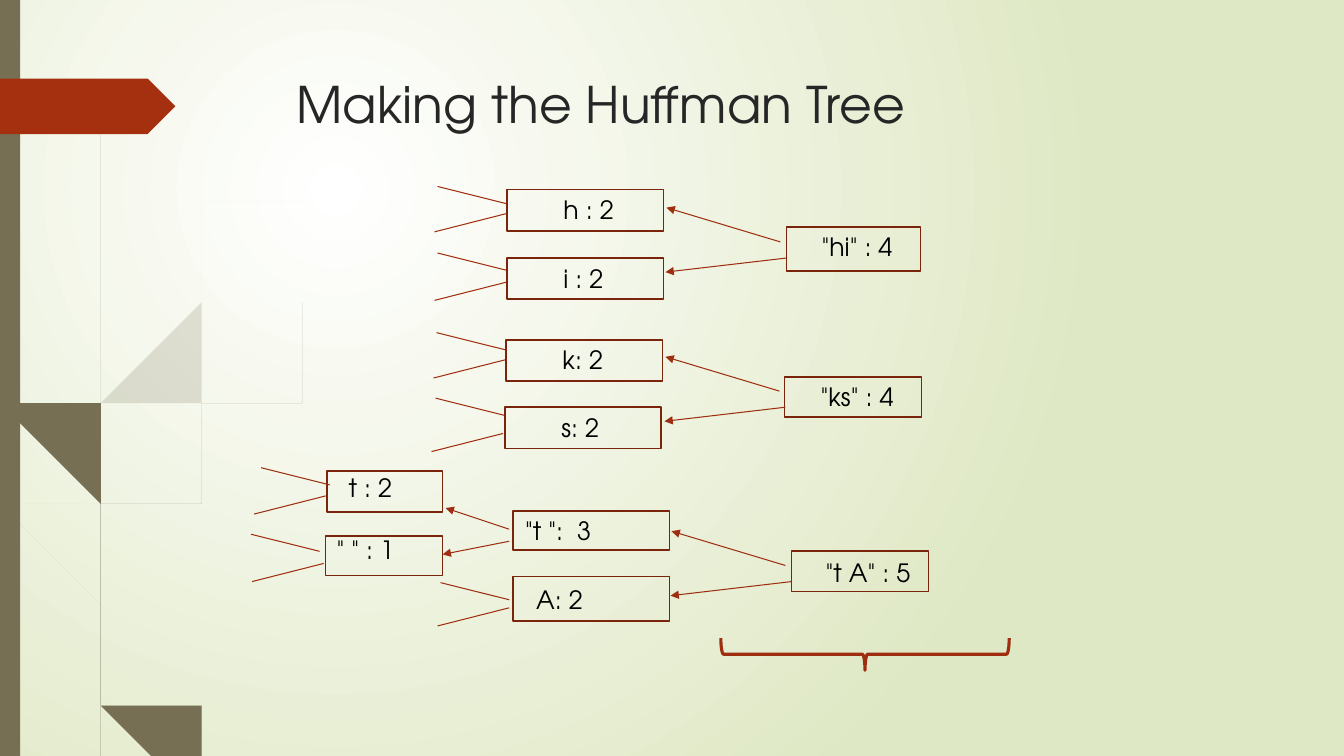
from pptx import Presentation
from pptx.dml.color import RGBColor
from pptx.enum import shapes, text
from pptx.oxml import ns, xmlchemy
from pptx.util import Inches, Pt

FONT = "TeX Gyre Adventor"
WHITE = RGBColor(0xFF, 0xFF, 0xFF)
PALE_GREEN = RGBColor(0xDF, 0xE8, 0xC4)
OLIVE = RGBColor(0x76, 0x6F, 0x54)
RED = RGBColor(0xA5, 0x30, 0x10)
LINK_RED = RGBColor(0x9E, 0x2E, 0x0F)
BOX_RED = RGBColor(0x7A, 0x24, 0x0C)
TITLE_GRAY = RGBColor(0x26, 0x26, 0x26)
BLACK = RGBColor(0, 0, 0)
KIND = shapes.MSO_SHAPE

presentation = Presentation()
presentation.slide_width = Inches(13.33)
presentation.slide_height = Inches(7.5)
slide = presentation.slides.add_slide(presentation.slide_layouts[5])

background = slide.background.fill
background.gradient()
for stop, color, position in zip(background.gradient_stops, (WHITE, PALE_GREEN), (0, 1)):
    stop.color.rgb = color
    stop.position = position
gradient = slide.element.find(".//" + ns.qn("a:gradFill"))
gradient.remove(gradient.find(ns.qn("a:lin")))
circle = xmlchemy.OxmlElement("a:path")
circle.set("path", "circle")
center = xmlchemy.OxmlElement("a:fillToRect")
for side, value in zip("ltrb", (50000, 50000, 100000, 100000)):
    center.set(side, str(value))
circle.append(center)
gradient.append(circle)


def write(frame, words, size=18, color=BLACK):
    frame.word_wrap = True
    frame.vertical_anchor = text.MSO_ANCHOR.TOP
    paragraph = frame.paragraphs[0]
    paragraph.alignment = text.PP_ALIGN.LEFT
    run = paragraph.add_run()
    run.text = words
    run.font.name = FONT
    run.font.size = Pt(size)
    run.font.color.rgb = color


def smooth(points, steps=6):
    padded = [points[0], *points, points[-1]]
    curve = []
    for a, b, c, d in zip(padded, padded[1:], padded[2:], padded[3:]):
        for step in range(steps):
            t = step / steps
            curve.append(tuple(
                (2 * q + (r - p) * t + (2 * p - 5 * q + 4 * r - s) * t**2
                 + (3 * q - p - 3 * r + s) * t**3) / 2
                for p, q, r, s in zip(a, b, c, d)))
    return curve + [points[-1]]


faint_blades = [
    ([(0, 2.99), (0.1, 3.44), (0.28, 4.7), (0.65, 6.21), (0.92, 6.93), (1.01, 7.14), (1.14, 7.5)],
     [(1.19, 7.5), (0.99, 7.07), (0.93, 6.83), (0.7, 6.19), (0.31, 4.69), (0.17, 3.76),
      (0.09, 3.22), (0, 2.82)]),
    ([(0.14, 3.45), (0.17, 3.76), (0.58, 5.22), (0.84, 5.99), (1.23, 6.94), (1.5, 7.5)],
     [(1.55, 7.5), (1.27, 6.92), (0.92, 6.07), (0.85, 5.86), (0.62, 5.2), (0.14, 3.45)]),
    ([(3.12, 1.53), (2.68, 1.97), (2.28, 2.44), (1.58, 3.48), (1.07, 4.61), (0.85, 5.84),
      (0.87, 6.46), (0.96, 6.92), (1.05, 7.11), (1.19, 7.5)],
     [(1.24, 7.5), (1.05, 7.11), (0.91, 6.46), (0.88, 5.84), (1.1, 4.62), (1.6, 3.49),
      (2.29, 2.45), (2.68, 1.98), (3.12, 1.53)]),
]
solid_blades = [
    ([(0.03, 0), (0.04, 0.48), (0.07, 1.1), (0.17, 2.33), (0.33, 3.55), (0.57, 4.77),
      (0.68, 5.57), (0.93, 6.59), (1.11, 7.08), (1.27, 7.5)],
     [(1.33, 7.5), (1.1, 6.91), (0.98, 6.57), (0.72, 5.56), (0.64, 5.05), (0.55, 4.53),
      (0.36, 3.55), (0.19, 2.32), (0.08, 1.09), (0.05, 0.48), (0.04, 0)]),
    ([(0.7, 1.41), (0.62, 1.93), (0.56, 2.45), (0.52, 3.49), (0.55, 4.49), (0.64, 5.05),
      (0.88, 5.92), (1.06, 6.45), (1.32, 7.08), (1.52, 7.5)],
     [(1.57, 7.5), (1.36, 7.06), (1.13, 6.49), (0.93, 5.9), (0.6, 4.72), (0.54, 3.49),
      (0.58, 2.45), (0.63, 1.93), (0.7, 1.41)]),
    ([(2.6, 3.44), (2.31, 3.73), (2.04, 4.05), (1.56, 4.74), (1.22, 5.51), (1.06, 6.31),
      (1.1, 6.91), (1.22, 7.19), (1.33, 7.5)],
     [(1.36, 7.5), (1.22, 7.19), (1.11, 6.56), (1.11, 6.33), (1.25, 5.52), (1.58, 4.76),
      (2.05, 4.06), (2.31, 3.74), (2.6, 3.44)]),
]
for blades, opacity in ((faint_blades, 20), (solid_blades, 100)):
    for left_edge, right_edge in blades:
        outline = smooth(left_edge) + smooth(right_edge)
        builder = slide.shapes.build_freeform(*outline[0], scale=Inches(1))
        builder.add_line_segments(outline[1:], close=True)
        blade = builder.convert_to_shape()
        blade.shadow.inherit = False
        blade.fill.solid()
        blade.fill.fore_color.rgb = OLIVE
        blade.line.fill.background()
        if opacity < 100:
            alpha = xmlchemy.OxmlElement("a:alpha")
            alpha.set("val", str(opacity * 1000))
            blade.element.find(".//" + ns.qn("a:srgbClr")).append(alpha)

for kind, top, width, height, color in (
    (KIND.RECTANGLE, 0, 0.2, 7.5, OLIVE),
    (KIND.PENTAGON, 0.78, 1.74, 0.55, RED),
):
    band = slide.shapes.add_shape(kind, 0, Inches(top), Inches(width), Inches(height))
    band.shadow.inherit = False
    band.fill.solid()
    band.fill.fore_color.rgb = color
    band.line.fill.background()

title = slide.shapes.title
title.left, title.top, title.width, title.height = map(Inches, (2.84, 0.68, 9.75, 0.83))
write(title.text_frame, "Making the Huffman Tree", size=36, color=TITLE_GRAY)

nodes = [
    ("h : 2", (5.03, 1.88, 1.55, 0.41), (5.49, 1.88, 0.85)),
    ("i : 2", (5.03, 2.56, 1.55, 0.41), (5.49, 2.56, 0.85)),
    ("\"hi\" : 4", (7.8, 2.25, 1.33, 0.44), (8.05, 2.25, 1.08)),
    ("k: 2", (5.02, 3.37, 1.55, 0.41), (5.48, 3.37, 0.85)),
    ("s: 2", (5.01, 4.04, 1.55, 0.41), (5.47, 4.04, 0.85)),
    ("\"ks\" : 4", (7.78, 3.74, 1.36, 0.4), (8.04, 3.73, 1.08)),
    ("\"t \":\u00a0 3", (5.09, 5.07, 1.55, 0.39), (5.11, 5.06, 1.07)),
    ("A: 2", (5.09, 5.72, 1.55, 0.44), (5.22, 5.75, 0.85)),
    ("\"t A\" : 5", (7.85, 5.47, 1.36, 0.4), (8.09, 5.48, 1.08)),
    ("t : 2", (3.24, 4.67, 1.15, 0.41), (3.36, 4.64, 0.85)),
    ("\" \" : 1", (3.23, 5.32, 1.16, 0.39), (3.24, 5.25, 0.85)),
]
for label, box_place, label_place in nodes:
    box = slide.shapes.add_shape(KIND.RECTANGLE, *map(Inches, box_place))
    box.shadow.inherit = False
    box.fill.background()
    box.line.color.rgb = BOX_RED
    box.line.width = Pt(1.25)
    label_box = slide.shapes.add_textbox(*map(Inches, label_place), Inches(0.4))
    write(label_box.text_frame, label)

fork_tips = [
    ((5.02, 2.02), (5.02, 2.12)),
    ((5.02, 2.68), (5.02, 2.8)),
    ((5.01, 3.47), (5.01, 3.57)),
    ((5, 4.12), (4.99, 4.3)),
    ((5.05, 5.95), (5.05, 6.03)),
    ((3.27, 4.81), (3.23, 4.92)),
    ((3.17, 5.47), (3.21, 5.59)),
]
links = []
for (upper_x, upper_y), (lower_x, lower_y) in fork_tips:
    links.append((upper_x - 0.68, upper_y - 0.17, upper_x, upper_y, False))
    links.append((lower_x - 0.71, lower_y + 0.18, lower_x, lower_y, False))
for x, y in ((7.74, 2.4), (7.73, 3.88), (7.79, 5.61)):
    links.append((x, y, x - 1.13, y - 0.34, True))
    links.append((x + 0.06, y + 0.16, x - 1.14, y + 0.3, True))
links.append((5.05, 5.25, 4.42, 5.04, True))
links.append((5.05, 5.37, 4.39, 5.5, True))
for *ends, has_arrow in links:
    link = slide.shapes.add_connector(shapes.MSO_CONNECTOR.STRAIGHT, *map(Inches, ends))
    link.line.color.rgb = LINK_RED
    link.line.width = Pt(0.75)
    properties = link.element.spPr
    if has_arrow:
        arrowhead = xmlchemy.OxmlElement("a:tailEnd")
        arrowhead.set("type", "triangle")
        properties.find(ns.qn("a:ln")).append(arrowhead)
    properties.append(xmlchemy.OxmlElement("a:effectLst"))

brace = slide.shapes.add_shape(KIND.LEFT_BRACE, *map(Inches, (8.42, 5.06, 0.32, 2.86)))
brace.rotation = 270
brace.shadow.inherit = False
brace.fill.background()
brace.line.color.rgb = LINK_RED
brace.line.width = Pt(2.25)

presentation.save("out.pptx")
